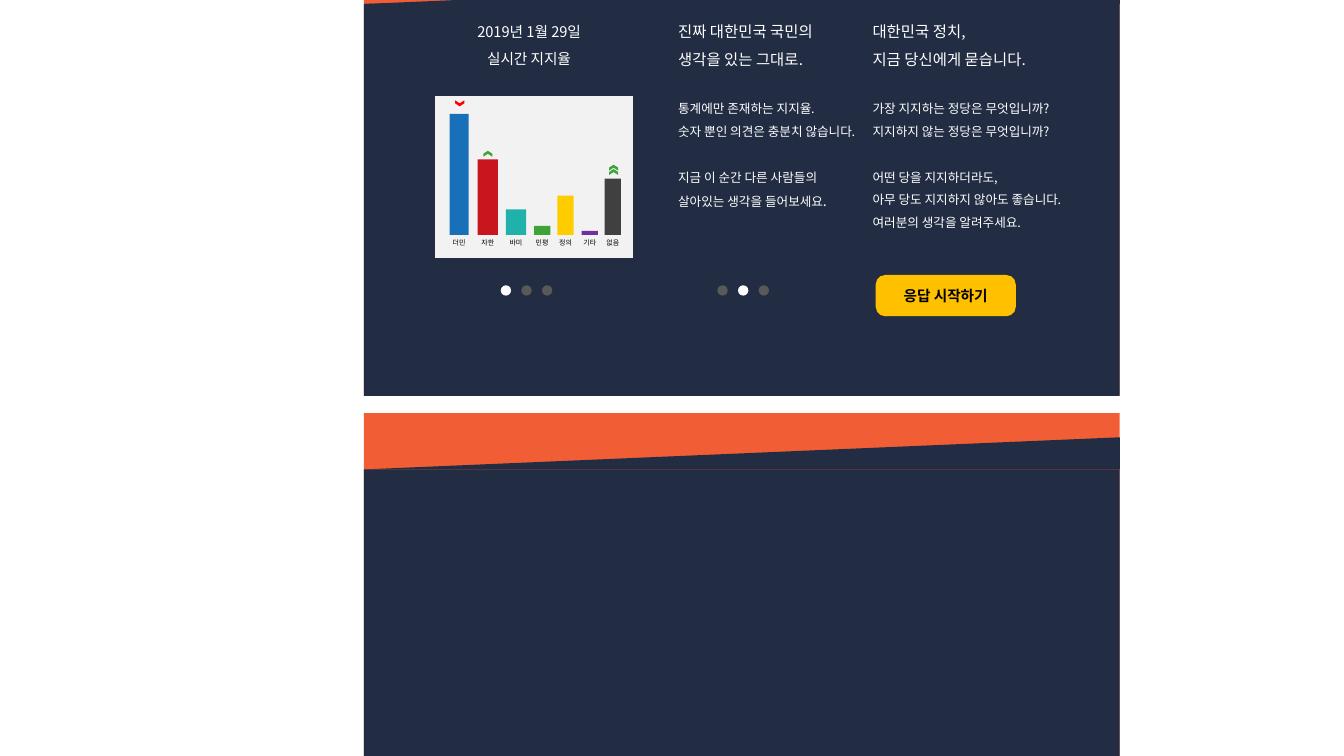
from lxml.etree import SubElement
from pptx import Presentation
from pptx.dml.color import RGBColor
from pptx.enum.shapes import MSO_SHAPE as Shape
from pptx.enum.text import MSO_ANCHOR as Anchor, PP_ALIGN as Align
from pptx.oxml.ns import qn
from pptx.util import Cm, Pt

FONT = "Noto Sans CJK KR"
ORANGE = RGBColor(0xF1, 0x5D, 0x35)
NAVY = RGBColor(0x22, 0x2D, 0x43)
WHITE = RGBColor(0xFF, 0xFF, 0xFF)
BLACK = RGBColor(0x00, 0x00, 0x00)
GREY = RGBColor(0x59, 0x59, 0x59)
PALE = RGBColor(0xF2, 0xF2, 0xF2)
AMBER = RGBColor(0xFF, 0xC0, 0x00)
BLUE = RGBColor(0x18, 0x70, 0xB9)
CRIMSON = RGBColor(0xC9, 0x15, 0x1E)
TEAL = RGBColor(0x20, 0xB2, 0xAA)
GREEN = RGBColor(0x3E, 0xA4, 0x37)
YELLOW = RGBColor(0xFF, 0xCC, 0x00)
PURPLE = RGBColor(0x70, 0x30, 0xA0)
CHARCOAL = RGBColor(0x40, 0x40, 0x40)
RED = RGBColor(0xFF, 0x00, 0x00)

PANEL_LEFT, PANEL_WIDTH = 9.17, 19.05
BASELINE = 5.92
LABEL_WIDTH = 0.86
DOT_SIZE, DOT_PITCH, DOT_TOP = 0.26, 0.52, 7.19

# Party, left, width, height, colour
BARS = [
    ("더민", 11.33, 0.48, 3.05, BLUE),
    ("자한", 12.04, 0.51, 1.9, CRIMSON),
    ("바미", 12.75, 0.51, 0.64, TEAL),
    ("민평", 13.46, 0.41, 0.23, GREEN),
    ("정의", 14.05, 0.41, 0.99, YELLOW),
    ("기타", 14.66, 0.41, 0.1, PURPLE),
    ("없음", 15.24, 0.41, 1.42, CHARCOAL),
]
# Left, top, rotation, colour
TRENDS = [
    (12.22, 3.76, 270, GREEN),
    (15.39, 4.22, 270, GREEN),
    (15.39, 4.11, 270, GREEN),
    (11.51, 2.49, 90, RED),
]
# Each block: size, space before it, lines
VOICES = [
    (11, 0, ["진짜 대한민국 국민의", "생각을 있는 그대로."]),
    (9, 18, ["통계에만 존재하는 지지율.", "숫자 뿐인 의견은 충분치 않습니다."]),
    (9, 16.4, ["지금 이 순간 다른 사람들의", "살아있는 생각을 들어보세요"]),
]
QUESTIONS = [
    (11, 0, ["대한민국 정치,", "지금 당신에게 묻습니다."]),
    (9, 18, ["가장 지지하는 정당은 무엇입니까?", "지지하지 않는 정당은 무엇입니까?"]),
    (9, 16.4, ["어떤 당을 지지하더라도,", "아무 당도 지지하지 않아도 좋습니다.",
               "여러분의 생각을 알려주세요."]),
]


def add_filled(shapes, kind, left, top, width, height, color):
    """Add a flat preset shape without outline or shadow."""
    shape = shapes.add_shape(kind, Cm(left), Cm(top), Cm(width), Cm(height))
    shape.shadow.inherit = False
    shape.fill.solid()
    shape.fill.fore_color.rgb = color
    shape.line.fill.background()
    return shape


def style_paragraph(para, size, color, align=Align.LEFT, bold=False):
    """Set the font of a whole paragraph, Hangul included."""
    para.alignment = align
    para.font.size = Pt(size)
    para.font.bold = bold
    para.font.color.rgb = color
    para.font.name = FONT
    defaults = para._p.pPr.find(qn("a:defRPr"))
    SubElement(defaults, qn("a:ea"), typeface=FONT)


def add_text(shapes, left, top, width, height, blocks, color=WHITE,
             align=Align.LEFT, spacing=1.5):
    """Add a middle-anchored text box made of blocks of lines."""
    box = shapes.add_textbox(Cm(left), Cm(top), Cm(width), Cm(height))
    frame = box.text_frame
    frame.word_wrap = True
    frame.vertical_anchor = Anchor.MIDDLE
    frame.text = "\n".join(line for _, _, lines in blocks for line in lines)
    paragraphs = iter(frame.paragraphs)
    for size, gap, lines in blocks:
        for index in range(len(lines)):
            para = next(paragraphs)
            style_paragraph(para, size, color, align)
            para.line_spacing = spacing
            para.space_before = Pt(0 if index else gap)
    return frame


def add_panel(shapes, top):
    """Add an orange panel with a slanted navy area over it."""
    add_filled(shapes, Shape.RECTANGLE, PANEL_LEFT, top, PANEL_WIDTH, 11.28, ORANGE)
    area = shapes.add_group_shape().shapes
    slant = add_filled(area, Shape.ISOSCELES_TRIANGLE, PANEL_LEFT, top + 0.61,
                       PANEL_WIDTH, 0.81, NAVY)
    slant.adjustments[0] = 1
    add_filled(area, Shape.RECTANGLE, PANEL_LEFT, top + 1.42, PANEL_WIDTH, 9.88, NAVY)


def add_dots(shapes, left, active):
    """Add three pager dots, the active one white."""
    for index in range(3):
        add_filled(shapes, Shape.OVAL, left + index * DOT_PITCH, DOT_TOP,
                   DOT_SIZE, DOT_SIZE, WHITE if index == active else GREY)


def add_ratings(shapes):
    """Add the card of party support bars with trend marks."""
    card = shapes.add_group_shape().shapes
    add_filled(card, Shape.FLOWCHART_PROCESS, 10.97, 2.41, 4.98, 4.09, PALE)
    for party, left, width, height, color in BARS:
        add_filled(card, Shape.RECTANGLE, left, BASELINE - height, width, height, color)
        label = add_text(card, left + (width - LABEL_WIDTH) / 2, 5.82, LABEL_WIDTH,
                         0.58, [(5, 0, [party])], BLACK, Align.CENTER, 1)
        label.margin_left = label.margin_right = 0
    for left, top, rotation, color in TRENDS:
        mark = add_filled(card, Shape.CHEVRON, left, top, 0.15, 0.23, color)
        mark.rotation = rotation


def add_button(shapes, caption):
    """Add the rounded start button."""
    button = add_filled(shapes, Shape.ROUNDED_RECTANGLE, 22.07, 6.93, 3.53, 1.04, AMBER)
    button.adjustments[0] = 0.23
    frame = button.text_frame
    frame.vertical_anchor = Anchor.MIDDLE
    frame.text = caption
    style_paragraph(frame.paragraphs[0], 10.5, BLACK, Align.CENTER, bold=True)


def main():
    """Build the slide and save it."""
    deck = Presentation()
    deck.slide_width, deck.slide_height = Cm(33.87), Cm(19.05)
    page = deck.slides.add_slide(deck.slide_layouts[6])
    shapes = page.shapes

    add_panel(shapes, -1.32)
    add_text(shapes, 10.31, 0.56, 6.05, 0.94,
             [(10.5, 0, ["2019년 1월 29일", "실시간 지지율"])], align=Align.CENTER)
    add_ratings(shapes)
    add_dots(shapes, 12.62, active=0)

    voices = add_text(shapes, 16.84, 0.48, 6.4, 4.65, VOICES)
    period = voices.paragraphs[-1].add_run()
    period.text = "."
    period.font.size = Pt(10)
    add_dots(shapes, 18.08, active=1)

    add_text(shapes, 21.74, 0.74, 6.4, 4.65, QUESTIONS)
    add_button(shapes, "응답 시작하기")
    add_panel(shapes, 10.41)
    deck.save("out.pptx")


main()
